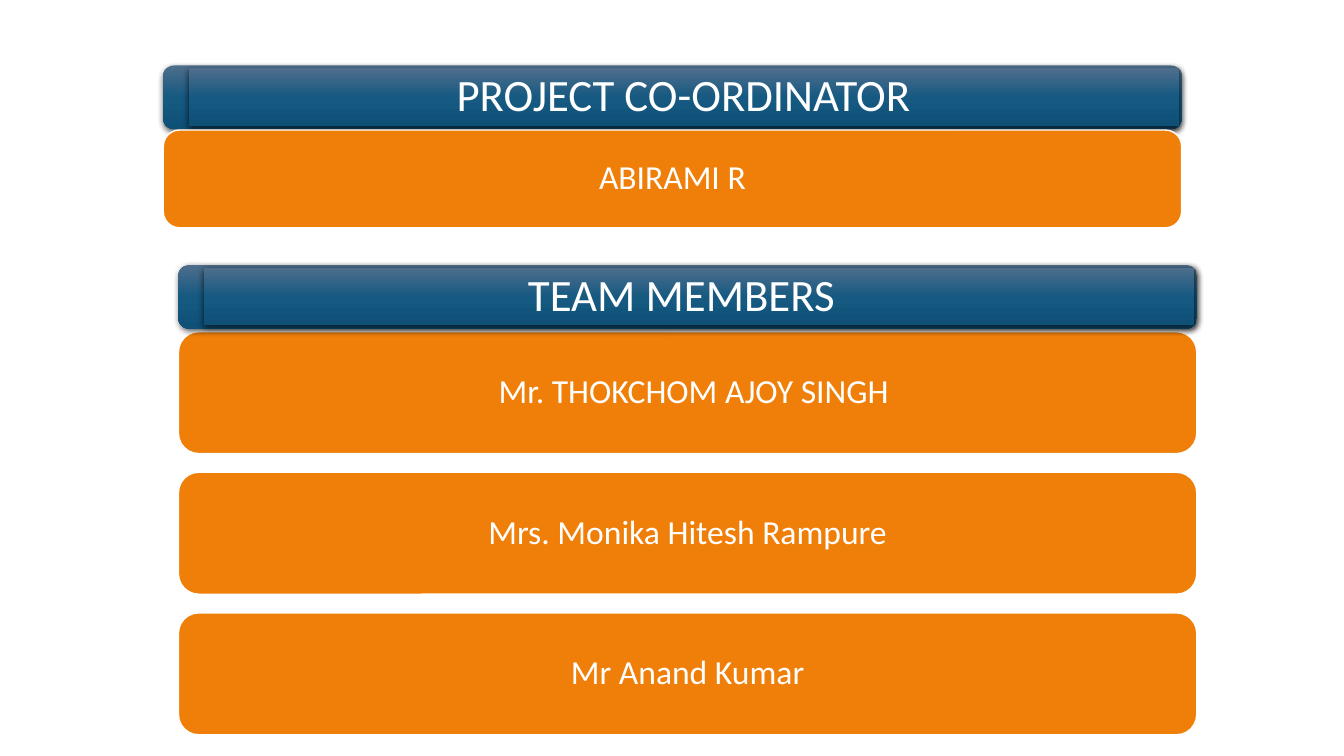
from copy import deepcopy

from lxml import etree
from pptx import Presentation
from pptx.dml.color import RGBColor
from pptx.enum.shapes import MSO_SHAPE
from pptx.enum.text import MSO_ANCHOR, PP_ALIGN
from pptx.oxml.ns import qn
from pptx.util import Inches, Pt

ROUNDED, RECT = MSO_SHAPE.ROUNDED_RECTANGLE, MSO_SHAPE.RECTANGLE
MIDDLE, CENTER = MSO_ANCHOR.MIDDLE, PP_ALIGN.CENTER

WHITE, ORANGE = "FFFFFF", "F07F09"
BLUES = ("4E6E8C", "165981", "0F5077")
WIDTH = 10.1
HEADER_HEIGHT = 0.63
INSET = 0.1


def color(hex_text):
    return RGBColor.from_string(hex_text)


def add_block(slide, kind, left, top, width, height):
    block = slide.shapes.add_shape(
        kind, Inches(left), Inches(top), Inches(width), Inches(height))
    block.shadow.inherit = False
    return block


def write(block, text, size, shift=0):
    """Centre the text, moved sideways by shift inches."""
    frame = block.text_frame
    frame.word_wrap = True
    frame.vertical_anchor = MIDDLE
    frame.margin_top = frame.margin_bottom = Inches(INSET)
    frame.margin_left = Inches(INSET + max(2 * shift, 0))
    frame.margin_right = Inches(INSET + max(-2 * shift, 0))
    line = frame.paragraphs[0]
    line.text = text
    line.alignment = CENTER
    line.line_spacing = 0.9
    line.font.name = "Calibri"
    line.font.size = Pt(size)
    line.font.color.rgb = color(WHITE)


def add_glossy(slide, kind, left, top, width, height):
    """Blue block with a vertical gradient and a soft shadow below."""
    block = add_block(slide, kind, left, top, width, height)
    block.line.fill.background()
    block.fill.gradient()
    block.fill.gradient_angle = 270
    properties = block.fill._xPr
    stop_list = properties.find(qn("a:gradFill")).find(qn("a:gsLst"))
    stop_list.append(deepcopy(stop_list[-1]))
    for index, stop in enumerate(block.fill.gradient_stops):
        stop.position = index / 2
        stop.color.rgb = color(BLUES[index])

    effects = properties.find(qn("a:effectLst"))
    shadow = etree.SubElement(
        effects, qn("a:outerShdw"), blurRad=str(Pt(4.5)), dist=str(Pt(1.5)),
        dir="5400000", algn="ctr", rotWithShape="0")
    black = etree.SubElement(shadow, qn("a:srgbClr"), val="000000")
    etree.SubElement(black, qn("a:alpha"), val="63000")
    return block


def add_header(slide, left, top, title, shift=0):
    add_glossy(slide, ROUNDED, left, top, WIDTH, HEADER_HEIGHT)
    panel = add_glossy(slide, RECT, left + 0.25, top + 0.03,
                       WIDTH - 0.28, HEADER_HEIGHT - 0.06)
    write(panel, title, 32, shift)


def add_cards(slide, left, top, height, pitch, people):
    for row, (person, shift) in enumerate(people):
        card = add_block(slide, ROUNDED, left, top + row * pitch, WIDTH, height)
        card.fill.solid()
        card.fill.fore_color.rgb = color(ORANGE)
        card.line.color.rgb = color(WHITE)
        card.line.width = Pt(1)
        write(card, person, 24, shift)


def main():
    deck = Presentation()
    deck.slide_width, deck.slide_height = Inches(13.33), Inches(7.5)
    slide = deck.slides.add_slide(deck.slide_layouts[6])

    # Team members: the header's shadow falls on the first card
    members = [("Mr. THOKCHOM AJOY SINGH", 0.06),
               ("Mrs. Monika Hitesh Rampure", 0),
               ("Mr Anand Kumar", 0)]
    add_cards(slide, 1.77, 3.29, 1.21, 1.395, members)
    add_header(slide, 1.77, 2.63, "TEAM MEMBERS", -0.17)

    # Project co-ordinator: the card lies over the header's shadow
    add_header(slide, 1.62, 0.65, "PROJECT CO-ORDINATOR")
    add_cards(slide, 1.62, 1.29, 0.97, 0, [("ABIRAMI R", 0)])

    deck.save("out.pptx")


if __name__ == "__main__":
    main()
